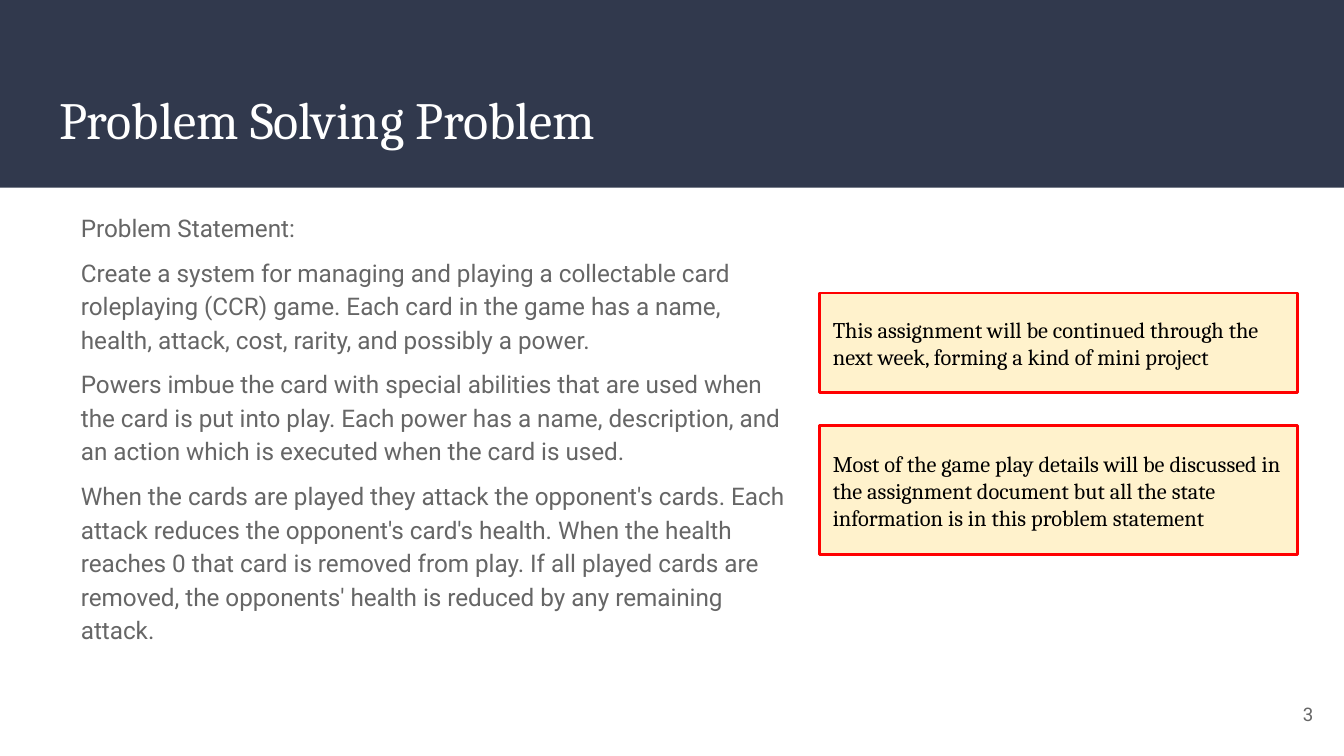
from pptx import Presentation
from pptx import util as u
from pptx.dml.color import RGBColor
from pptx.enum import shapes, text

NAVY = RGBColor(0x31, 0x39, 0x4D)
WHITE = RGBColor(0xFF, 0xFF, 0xFF)
GRAY = RGBColor(0x66, 0x66, 0x66)
CREAM = RGBColor(0xFF, 0xF2, 0xCC)
RED = RGBColor(0xFF, 0x00, 0x00)
BLACK = RGBColor(0x00, 0x00, 0x00)

SERIF = "Cambria"
SANS = "Roboto"
INSET = u.Cm(0.25)

STATEMENT = [
    "Problem Statement:",
    "Create a system for managing and playing a collectable card roleplaying (CCR) game. "
    "Each card in the game has a name, health, attack, cost, rarity, and possibly a power.",
    "Powers imbue the card with special abilities that are used when the card is put into play. "
    "Each power has a name, description, and an action which is executed when the card is used.",
    "When the cards are played they attack the opponent's cards. "
    "Each attack reduces the opponent's card's health. "
    "When the health reaches 0 that card is removed from play. "
    "If all played cards are removed, the opponents' health is reduced by any remaining attack.",
]

NOTES = [
    (5.54, 1.88, "This assignment will be continued through the next week, "
                 "forming a kind of mini project"),
    (8.05, 2.44, "Most of the game play details will be discussed in the assignment "
                 "document but all the state information is in this problem statement"),
]


class Deck:
    def __init__(self, width, height):
        self.prs = Presentation()
        self.prs.slide_width = u.Cm(width)
        self.prs.slide_height = u.Cm(height)
        self.slide = self.prs.slides.add_slide(self.prs.slide_layouts[6])

    def fill_text(self, sp, lines, font, size, color, align=text.PP_ALIGN.LEFT,
                  anchor=text.MSO_ANCHOR.TOP, spacing=None, after=None):
        tf = sp.text_frame
        tf.word_wrap = True
        tf.vertical_anchor = anchor
        tf.margin_left = tf.margin_right = INSET
        tf.margin_top = tf.margin_bottom = INSET
        for i, line in enumerate(lines):
            p = tf.add_paragraph() if i else tf.paragraphs[0]
            p.text = line
            p.alignment = align
            p.line_spacing = spacing
            p.space_after = after
            p.font.name = font
            p.font.size = u.Pt(size)
            p.font.color.rgb = color
        return tf

    def rect(self, x, y, w, h, fill, line=None):
        sp = self.slide.shapes.add_shape(
            shapes.MSO_SHAPE.RECTANGLE, u.Cm(x), u.Cm(y), u.Cm(w), u.Cm(h))
        sp.shadow.inherit = False
        sp.fill.solid()
        sp.fill.fore_color.rgb = fill
        if line is None:
            sp.line.fill.background()
        else:
            sp.line.color.rgb = line
            sp.line.width = u.Pt(1.5)
        return sp

    def label(self, x, y, w, h, lines, font, size, color, **style):
        sp = self.slide.shapes.add_textbox(u.Cm(x), u.Cm(y), u.Cm(w), u.Cm(h))
        return self.fill_text(sp, lines, font, size, color, **style)

    def note(self, x, y, w, h, line):
        sp = self.rect(x, y, w, h, CREAM, RED)
        self.fill_text(sp, [line], SERIF, 12, BLACK, anchor=text.MSO_ANCHOR.MIDDLE)


def main():
    s = Deck(25.4, 14.29)
    s.rect(0, 0, 25.4, 3.55, NAVY)
    s.label(0.87, 1.4, 23.67, 1.73, ["Problem Solving Problem"], SERIF, 28, WHITE)
    body = s.label(0.87, 3.7, 14.38, 9.02, STATEMENT, SANS, 13, GRAY,
                   spacing=1.15, after=u.Pt(6))
    body.margin_left = u.Cm(0.66)
    s.label(23.55, 12.95, 1.52, 1.09, ["3"], SANS, 10, GRAY,
            align=text.PP_ALIGN.RIGHT, anchor=text.MSO_ANCHOR.MIDDLE)
    for y, h, line in NOTES:
        s.note(15.49, y, 9.04, h, line)
    s.prs.save("out.pptx")


if __name__ == "__main__":
    main()
